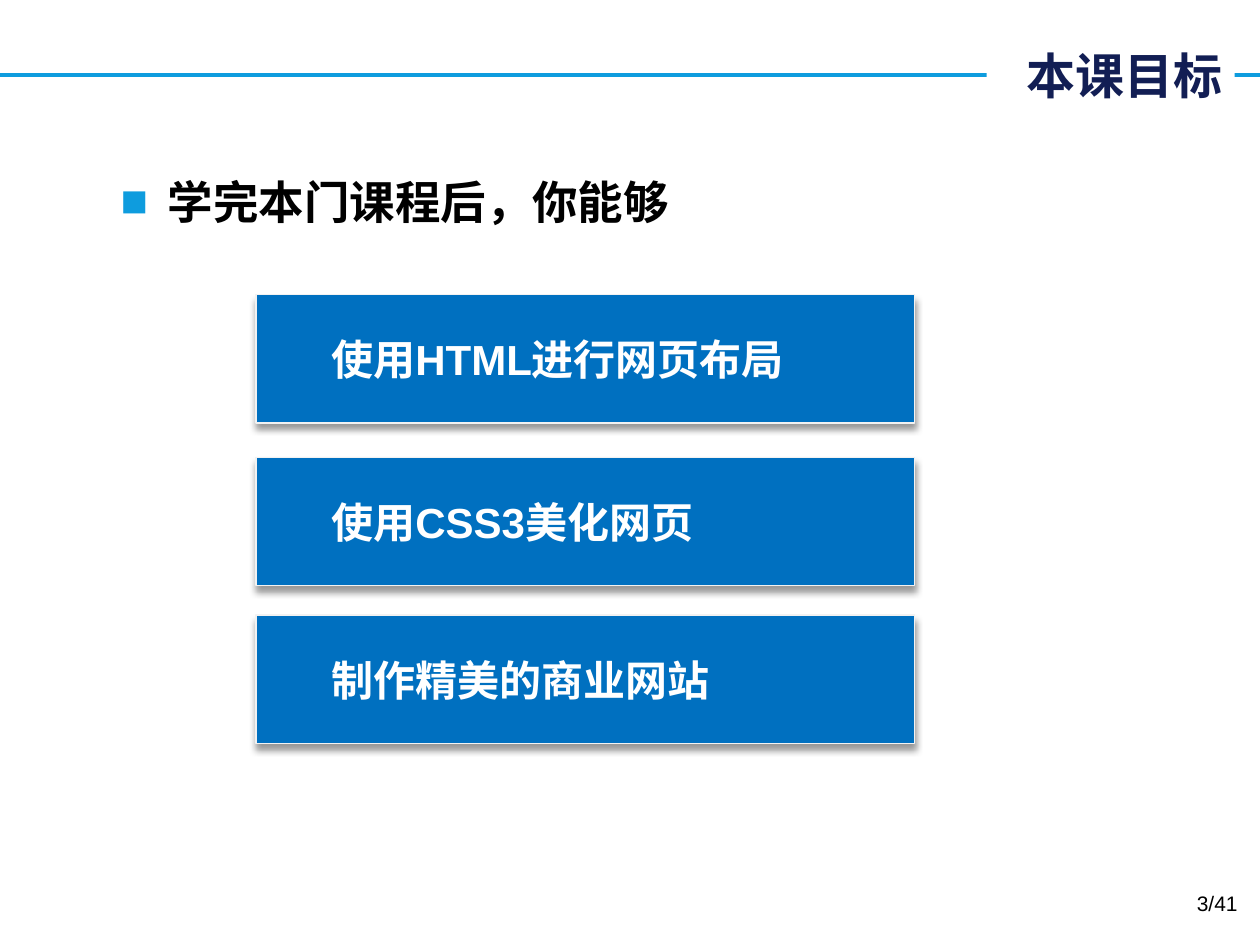
import pptx
import pptx.dml.color
import pptx.enum.shapes
import pptx.enum.text
import pptx.oxml
import pptx.oxml.ns
import pptx.util
from pptx.util import Cm

RGB = pptx.dml.color.RGBColor
WHITE = RGB(0xFF, 0xFF, 0xFF)
BLACK = RGB(0x00, 0x00, 0x00)
NAVY = RGB(0x12, 0x1E, 0x54)
SKY = RGB(0x0E, 0x9C, 0xDE)
BLUE = RGB(0x00, 0x70, 0xC0)
PALE = RGB(0xF2, 0xF2, 0xF2)

CJK = "Noto Sans CJK SC"
ALIGN = pptx.enum.text.PP_ALIGN
ANCHOR = pptx.enum.text.MSO_ANCHOR

TITLE_FONT = {"name": CJK, "size": pptx.util.Pt(28), "bold": True}
BODY_FONT = {"name": "Arial", "size": pptx.util.Pt(26), "bold": True}
CARD_FONT = {"name": "Arial", "size": pptx.util.Pt(24), "bold": True}
PAGE_FONT = {"name": "Arial", "size": pptx.util.Pt(12), "bold": False}

GOALS = ["使用HTML进行网页布局", "使用CSS3美化网页", "制作精美的商业网站"]
GOAL_TOPS = [5.94, 9.22, 12.4]


def add_xml(parent, xml):
    """Append a DrawingML element to parent."""
    ns = pptx.oxml.ns.nsdecls("a")
    parent.append(pptx.oxml.parse_xml(xml.replace("/>", f" {ns}/>", 1)
                  if xml.count("<") == 1 else xml.replace(">", f" {ns}>", 1)))


def place(sp, box):
    """Move a shape to a box of left, top, width and height."""
    for name, value in zip(("left", "top", "width", "height"), box):
        setattr(sp, name, value)


def write(sp, text, font, color, align, anchor):
    """Put one formatted paragraph into a shape and return it."""
    tf = sp.text_frame
    tf.word_wrap = True
    tf.vertical_anchor = anchor
    p = tf.paragraphs[0]
    p.alignment = align
    r = p.add_run()
    r.text = text
    for name, value in font.items():
        setattr(r.font, name, value)
    r.font.color.rgb = color
    add_xml(r.font._element, f'<a:ea typeface="{CJK}"/>')
    return p


def set_indent(p, left, first):
    """Give a paragraph a left margin and a first-line indent."""
    pPr = p._p.get_or_add_pPr()
    pPr.set("marL", str(left))
    pPr.set("indent", str(first))
    return pPr


def add_header(s, box):
    """Draw the header rule with the title over it."""
    left, top, width, height = box
    y = top + height // 2
    line = s.shapes.add_connector(
        pptx.enum.shapes.MSO_CONNECTOR.STRAIGHT, left, y, left + width, y)
    line.line.color.rgb = SKY
    line.line.width = pptx.util.Pt(2.25)
    add_xml(line._element.spPr, "<a:effectLst/>")
    s.shapes._spTree.insert(2, line._element)
    sp = s.shapes.title
    place(sp, (left + Cm(19.89), top, Cm(5), height))
    sp.fill.solid()
    sp.fill.fore_color.rgb = WHITE
    write(sp, "本课目标", TITLE_FONT, NAVY, ALIGN.RIGHT, ANCHOR.MIDDLE)


def add_body(s, box):
    """Fill the body placeholder with its square-bulleted lead."""
    sp = s.placeholders[1]
    place(sp, box)
    p = write(sp, "学完本门课程后，你能够", BODY_FONT, BLACK, ALIGN.LEFT, ANCHOR.TOP)
    pPr = set_indent(p, Cm(0.95), Cm(-0.95))
    add_xml(pPr, f'<a:buClr><a:srgbClr val="{SKY}"/></a:buClr>')
    add_xml(pPr, '<a:buFont typeface="Arial"/>')
    add_xml(pPr, '<a:buChar char="■"/>')


def add_goal(s, box, text):
    """Draw one goal card with a soft shadow below it."""
    sp = s.shapes.add_shape(pptx.enum.shapes.MSO_SHAPE.RECTANGLE, *box)
    sp.fill.solid()
    sp.fill.fore_color.rgb = BLUE
    sp.line.color.rgb = PALE
    sp.line.width = pptx.util.Pt(0.75)
    add_xml(sp._element.spPr,
            f'<a:effectLst><a:outerShdw blurRad="{pptx.util.Pt(4)}" '
            f'dist="{pptx.util.Pt(3)}" dir="5400000" rotWithShape="0">'
            f'<a:srgbClr val="{BLACK}"><a:alpha val="40000"/></a:srgbClr>'
            '</a:outerShdw></a:effectLst>')
    p = write(sp, text, CARD_FONT, WHITE, ALIGN.LEFT, ANCHOR.MIDDLE)
    p.level = 1
    set_indent(p, Cm(2.06), Cm(-0.79))


def add_page_number(s, box):
    """Write the page count at the lower right."""
    sp = s.shapes.add_textbox(*box)
    write(sp, "3/41", PAGE_FONT, BLACK, ALIGN.RIGHT, ANCHOR.TOP)


def main():
    """Build and save the slide."""
    prs = pptx.Presentation()
    prs.slide_width, prs.slide_height = Cm(25.4), Cm(19.05)
    s = prs.slides.add_slide(prs.slide_layouts[1])
    add_header(s, (0, Cm(0.79), prs.slide_width, Cm(1.45)))
    add_body(s, (Cm(2.18), Cm(3.38), Cm(21.23), Cm(14.3)))
    for top, text in zip(GOAL_TOPS, GOALS):
        add_goal(s, (Cm(5.16), Cm(top), Cm(13.28), Cm(2.59)), text)
    add_page_number(s, (Cm(19.28), Cm(17.83), Cm(5.92), Cm(1.02)))
    prs.save("out.pptx")


if __name__ == "__main__":
    main()
